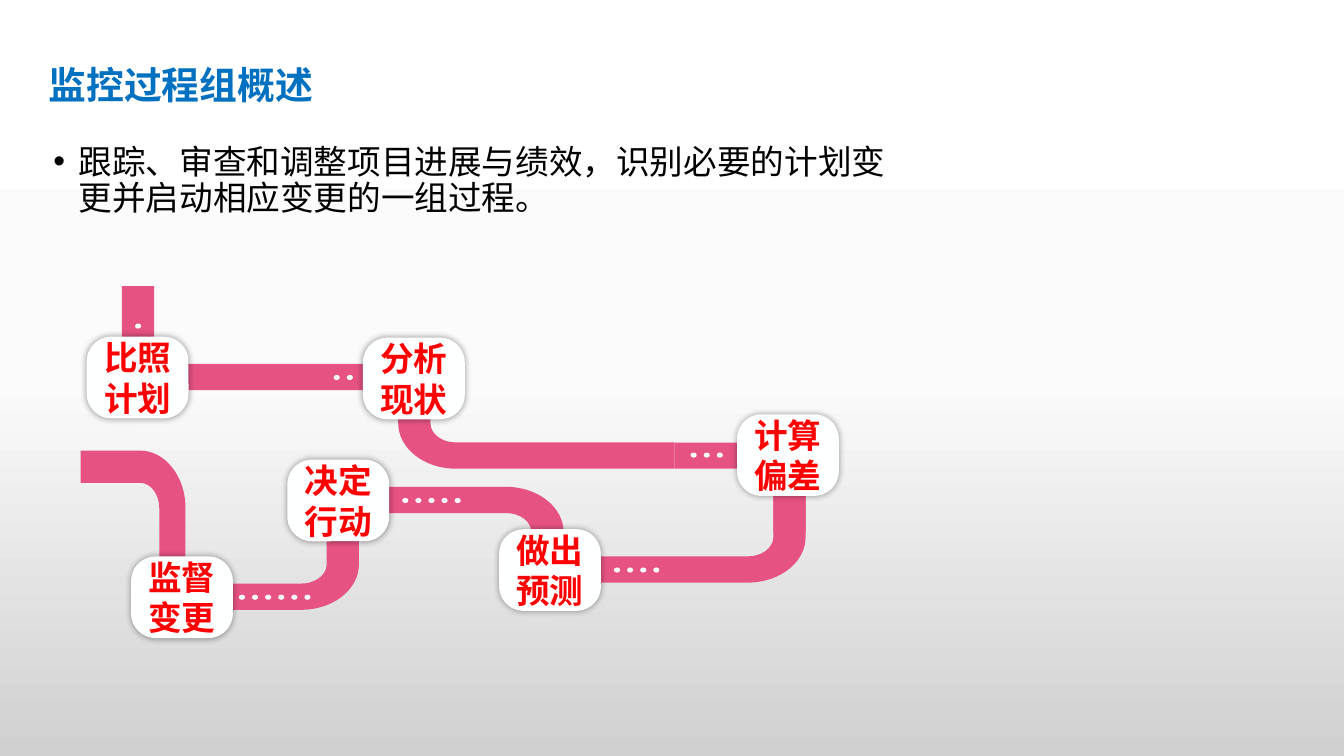
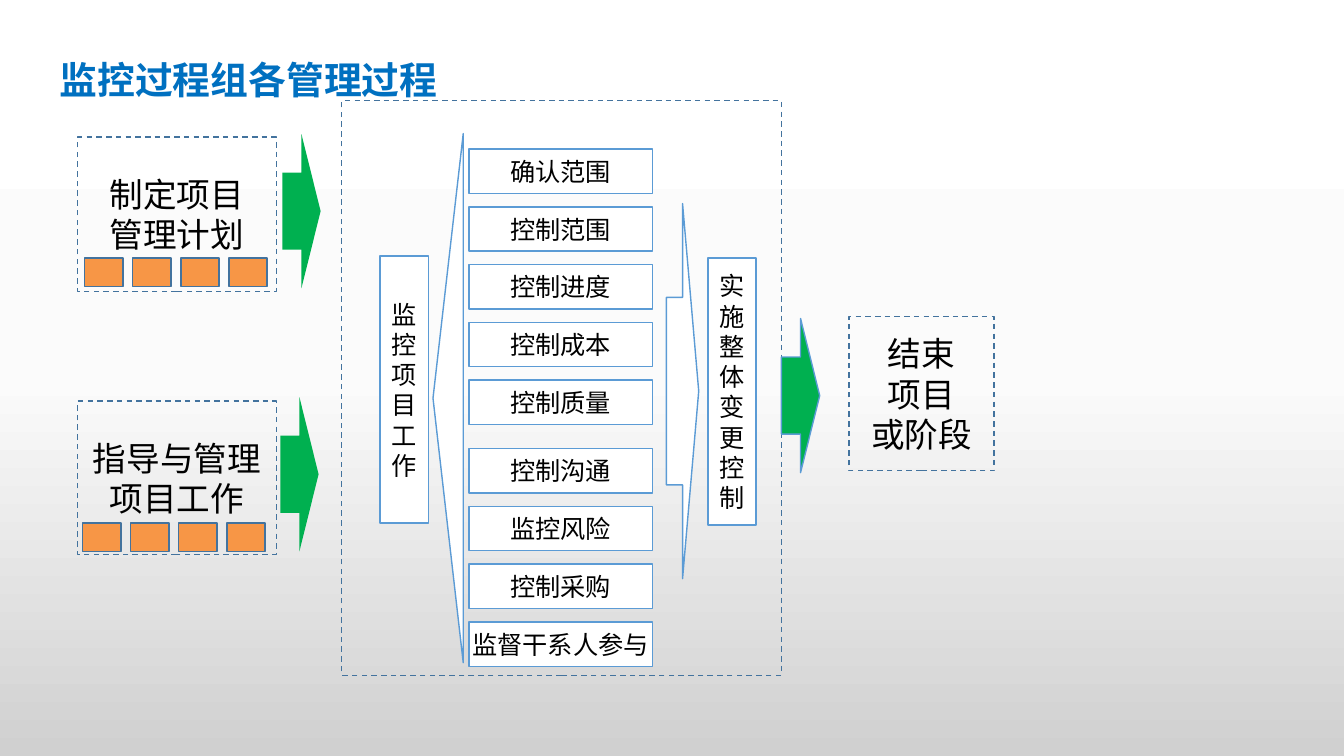
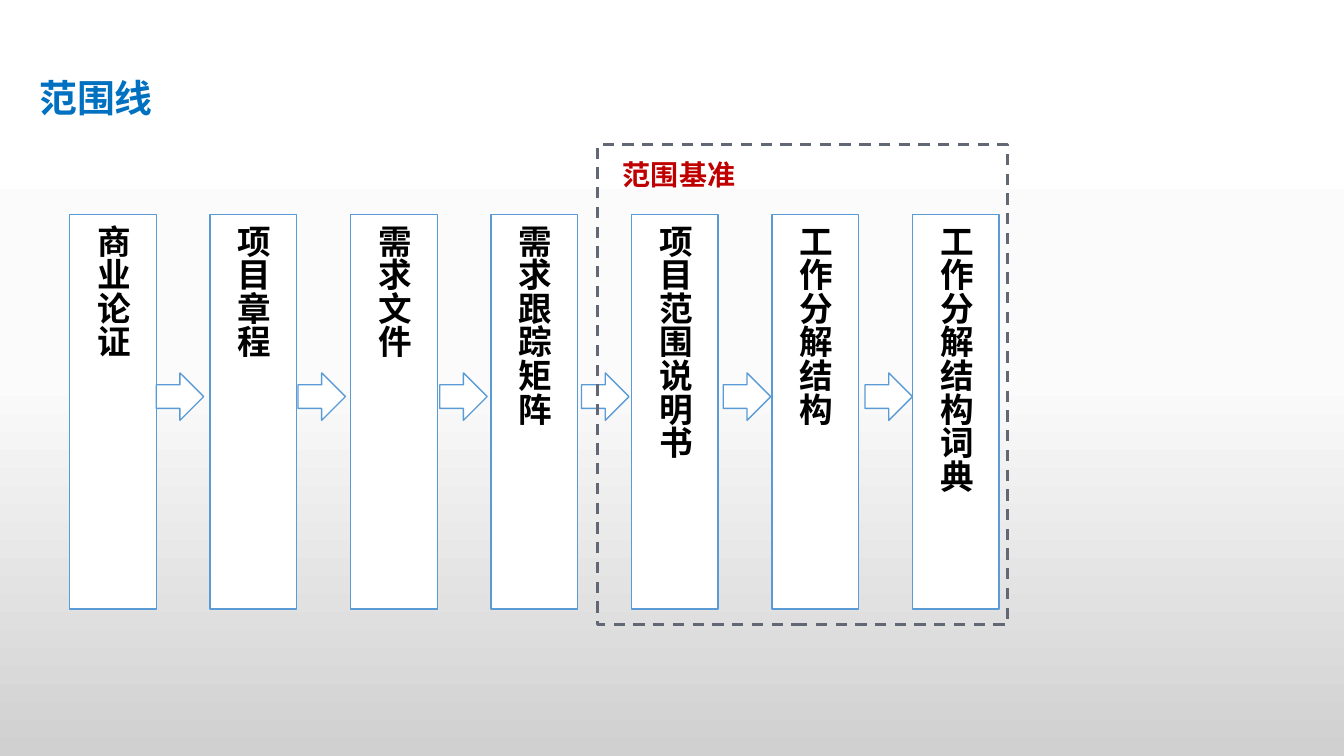
from lxml.etree import SubElement
from pptx import Presentation
from pptx.dml.color import RGBColor
from pptx.enum.dml import MSO_LINE
from pptx.enum.shapes import MSO_SHAPE
from pptx.enum.text import MSO_ANCHOR, MSO_AUTO_SIZE, PP_ALIGN
from pptx.oxml.ns import qn
from pptx.util import Inches, Pt

COLORS = {
    "title": "0070C0", "text": "000000", "white": "FFFFFF", "card": "FEFFFF",
    "red": "FF0000", "darkred": "C00000", "ribbon": "E65383", "blue": "5B9BD5",
    "navy": "43739E", "green": "00B050", "orange": "F79646", "gray": "616873",
}
BACKGROUND = [(0, "FFFFFF"), (50, "FBFBFB"), (100, "D0D0D0")]
TITLE = {"size": 27, "name": "TeX Gyre Schola", "color": "title", "bold": True}
BODY = {"size": 24, "name": "Cabin", "color": "text", "bold": False}
SMALL = {**BODY, "size": 18}
CARD = {**BODY, "color": "red", "bold": True}
COLUMN = {**BODY, "name": "Noto Sans CJK SC", "bold": True}
TAG = {**COLUMN, "size": 20, "color": "darkred"}


def rgb(name):
    return RGBColor.from_string(COLORS[name])


def spread(first, last, count):
    return [first + i * (last - first) / (count - 1) for i in range(count)]


def style_run(r, fmt):
    values = {"size": Pt(fmt["size"]), "name": fmt["name"], "bold": fmt["bold"]}
    for key, value in values.items():
        setattr(r.font, key, value)
    r.font.color.rgb = rgb(fmt["color"])
    SubElement(r._r.get_or_add_rPr(), qn("a:ea"), typeface=fmt["name"])


def write(tf, lines, fmt, inset=None, anchor=MSO_ANCHOR.MIDDLE, **para):
    tf.word_wrap = True
    tf.vertical_anchor = anchor
    if inset is not None:
        for side, value in zip(("left", "top", "right", "bottom"), inset):
            setattr(tf, f"margin_{side}", Inches(value))
    for i, line in enumerate(lines.split("\n")):
        p = tf.add_paragraph() if i else tf.paragraphs[0]
        for key, value in para.items():
            setattr(p, key, value)
        r = p.add_run()
        r.text = line
        style_run(r, fmt)


def paint(sp, fill=None, line=None, width=1, dash=False):
    sp.shadow.inherit = False
    if fill:
        sp.fill.solid()
        sp.fill.fore_color.rgb = rgb(fill)
    else:
        sp.fill.background()
    if line:
        sp.line.color.rgb = rgb(line)
        sp.line.width = Pt(width)
        if dash:
            sp.line.dash_style = MSO_LINE.DASH
    else:
        sp.line.fill.background()


def add_box(s, box, fill=None, line=None, kind=MSO_SHAPE.RECTANGLE,
            text=None, fmt=BODY, inset=None, **look):
    sp = s.shapes.add_shape(kind, *map(Inches, box))
    paint(sp, fill, line, **look)
    if text:
        write(sp.text_frame, text, fmt, inset, alignment=PP_ALIGN.CENTER)
    return sp


def add_arrow(s, box, fill="white", line="blue"):
    return add_box(s, box, fill, line, MSO_SHAPE.RIGHT_ARROW)


def place(sp, box):
    for key, value in zip(("left", "top", "width", "height"), box):
        setattr(sp, key, Inches(value))


def add_slide(prs, layout, title, left, top):
    s = prs.slides.add_slide(prs.slide_layouts[layout])
    place(s.shapes.title, (left, top, 11.5, 1.45))
    tf = s.shapes.title.text_frame
    tf.auto_size = MSO_AUTO_SIZE.NONE
    write(tf, title, TITLE, alignment=PP_ALIGN.LEFT, line_spacing=0.9)
    return s


def round_corner(line_to, start, end, corner):
    curve = SubElement(line_to.getparent(), qn("a:cubicBezTo"))
    controls = [[a + 0.55 * (k - a) for a, k in zip(point, corner)] for point in (start, end)]
    for x, y in [*controls, end]:
        SubElement(curve, qn("a:pt"), x=str(round(x)), y=str(round(y)))
    line_to.getparent().replace(line_to, curve)


def add_ribbon(s, x_end, corner_x, corner_y, y_end, bands=(0.26, 0.32), radii=(0.57, 0.45)):
    dx = 1 if x_end > corner_x else -1
    dy = 1 if y_end > corner_y else -1
    flat, upright = bands
    bend_x, bend_y = corner_x + dx * radii[0], corner_y + dy * radii[1]
    inner_x, inner_y = corner_x + dx * upright, corner_y + dy * flat
    outline = [(x_end, corner_y), (bend_x, corner_y), (corner_x, bend_y), (corner_x, y_end),
               (inner_x, y_end), (inner_x, bend_y), (bend_x, inner_y), (x_end, inner_y)]
    outline = [(Inches(x), Inches(y)) for x, y in outline]
    fb = s.shapes.build_freeform(*outline[0], scale=1.0)
    fb.add_line_segments(outline[1:], close=True)
    sp = fb.convert_to_shape()
    paint(sp, "ribbon")
    lines = sp._element.findall(".//" + qn("a:lnTo"))
    local = [(x - sp.left, y - sp.top) for x, y in outline]
    round_corner(lines[1], local[1], local[2], (local[2][0], local[1][1]))
    round_corner(lines[5], local[5], local[6], (local[5][0], local[6][1]))


def add_card(s, left, top, text):
    sp = add_box(s, (left, top, 1.01, 0.81), "card", kind=MSO_SHAPE.ROUNDED_RECTANGLE,
                 text=text, fmt=CARD, inset=(0, 0, 0, 0))
    sp.adjustments[0] = 0.3
    effects = sp._element.spPr.find(qn("a:effectLst"))
    shadow = SubElement(effects, qn("a:outerShdw"), blurRad=str(Pt(5)), dist="0", dir="0",
                        algn="ctr", rotWithShape="0")
    color = SubElement(shadow, qn("a:srgbClr"), val=COLORS["text"])
    SubElement(color, qn("a:alpha"), val="40000")


def set_background(master):
    fill = master.background.fill
    fill.gradient()
    fill.gradient_angle = 270
    stops = master.element.cSld.find(".//" + qn("a:gsLst"))
    for gs in list(stops):
        stops.remove(gs)
    for position, color in BACKGROUND:
        gs = SubElement(stops, qn("a:gs"), pos=str(position * 1000))
        SubElement(gs, qn("a:srgbClr"), val=color)


def overview(prs):
    s = add_slide(prs, 1, "监控过程组概述", 0.38, 0.14)
    body = s.placeholders[1]
    place(body, (0.43, 1.39, 8.68, 4.21))
    tf = body.text_frame
    tf.auto_size = MSO_AUTO_SIZE.NONE
    write(tf, "跟踪、审查和调整项目进展与绩效，识别必要的计划变更并启动相应变更的一组过程。",
          BODY, anchor=MSO_ANCHOR.TOP, line_spacing=0.9, space_before=Pt(10))
    pPr = tf.paragraphs[0]._p.get_or_add_pPr()
    for key, value in {"marL": 0.25, "indent": -0.25}.items():
        pPr.set(key, str(Inches(value)))
    SubElement(pPr, qn("a:buFont"), typeface="Arial")
    SubElement(pPr, qn("a:buChar"), char="•")

    road = s.shapes.add_group_shape()
    for ends in [(1.81, 3.56, 6.05, 5.01), (3.84, 5.59, 4.83, 5.87), (5.25, 7.99, 5.78, 4.75),
                 (3.95, 1.21, 3.87, 2.84), (6.69, 3.95, 4.65, 3.61), (6.69, 7.99, 4.39, 5.28)]:
        add_ribbon(road, *ends)
    add_ribbon(road, 0.8, 1.84, 4.47, 6.05, bands=(0.32, 0.26), radii=(0.45, 0.57))

    steps = [
        (0.86, 3.34, "比照\n计划", 1.34, 3.21),
        (3.6, 3.35, "分析\n现状", 3.31, 3.72),
        (7.31, 4.11, "计算\n偏差", 6.85, 4.49),
        (4.95, 5.25, "做出\n预测", 6.09, 5.63),
        (2.85, 4.56, "决定\n行动", 3.99, 4.94),
        (1.3, 5.52, "监督\n变更", 2.37, 5.9),
    ]
    for number, (left, top, text, dot_x, dot_y) in enumerate(steps, 1):
        add_card(road, left, top, text)
        for i in range(number):
            add_box(road, (dot_x + i * 0.13, dot_y, 0.06, 0.05), "card", kind=MSO_SHAPE.OVAL)


def processes(prs):
    s = add_slide(prs, 5, "监控过程组各管理过程", 0.49, 0.09)
    names = ["确认范围", "控制范围", "控制进度", "控制成本", "控制质量",
             "控制沟通", "监控风险", "控制采购", "监督干系人参与"]
    tops = spread(1.48, 3.77, 5) + spread(4.45, 6.17, 4)
    for top, name in zip(tops, names):
        add_box(s, (4.65, top, 1.82, 0.44), "white", "blue", text=name, fmt=SMALL,
                inset=(0, 0.05, 0, 0.05))
    for left, top, name in [(3.77, 2.54, "监控项目工作"), (7.02, 2.56, "实施整体变更控制")]:
        add_box(s, (left, top, 0.48, 2.65), "white", "blue", text=name, fmt=SMALL)
    funnel = add_box(s, (1.82, 3.8, 5.25, 0.3), "white", "blue", MSO_SHAPE.ISOSCELES_TRIANGLE)
    funnel.rotation = 270
    add_arrow(s, (6.61, 2.02, 0.32, 3.72))
    add_box(s, (3.39, 1, 4.36, 5.7), line="navy", dash=True)
    for left, top, width, height, text in [(0.77, 1.36, 1.97, 1.53, "制定项目\n管理计划"),
                                           (0.77, 3.98, 1.97, 1.52, "指导与管理项目工作"),
                                           (8.42, 3.14, 1.44, 1.53, "结束\n项目\n或阶段")]:
        add_box(s, (left, top, width, height), line="navy", dash=True, text=text)
    for left, top, line in [(2.8, 1.33, None), (2.78, 3.94, None), (7.75, 3.16, "blue")]:
        add_arrow(s, (left, top, 0.38, 1.53), "green", line)
    for first, last, top in [(0.84, 2.27, 2.56), (0.82, 2.25, 5.19)]:
        for left in spread(first, last, 4):
            add_box(s, (left, top, 0.38, 0.28), "orange", "navy")


def scope_line(prs):
    s = add_slide(prs, 5, "范围线", 0.29, 0.27)
    names = ["商业论证", "项目章程", "需求文件", "需求跟踪矩阵",
             "项目范围说明书", "工作分解结构", "工作分解结构词典"]
    for left, name in zip(spread(0.69, 9.05, len(names)), names):
        sp = add_box(s, (left, 2.13, 0.86, 3.91), "white", "blue",
                     MSO_SHAPE.FLOWCHART_PROCESS, name, COLUMN)
        sp.text_frame._txBody.bodyPr.set("vert", "eaVert")
    for left in spread(1.55, 8.58, len(names) - 1):
        add_arrow(s, (left, 3.7, 0.47, 0.47))
    add_box(s, (5.93, 1.43, 4.06, 4.77), line="gray", width=2, dash=True)
    tb = s.shapes.add_textbox(*map(Inches, (6.08, 1.51, 1.75, 0.44)))
    write(tb.text_frame, "范围基准", TAG, anchor=MSO_ANCHOR.TOP)


def main():
    prs = Presentation()
    prs.slide_width, prs.slide_height = Inches(13.33), Inches(7.5)
    set_background(prs.slide_master)
    overview(prs)
    processes(prs)
    scope_line(prs)
    prs.save("out.pptx")


if __name__ == "__main__":
    main()
